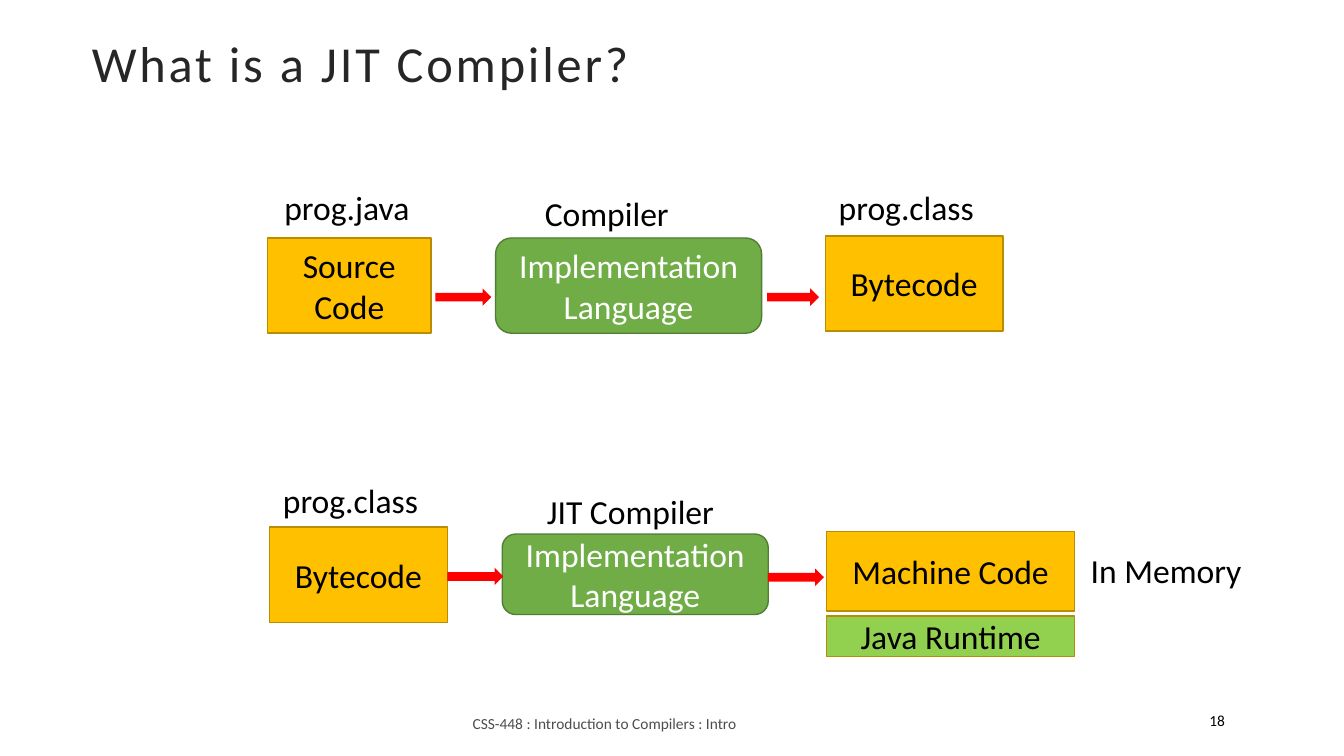
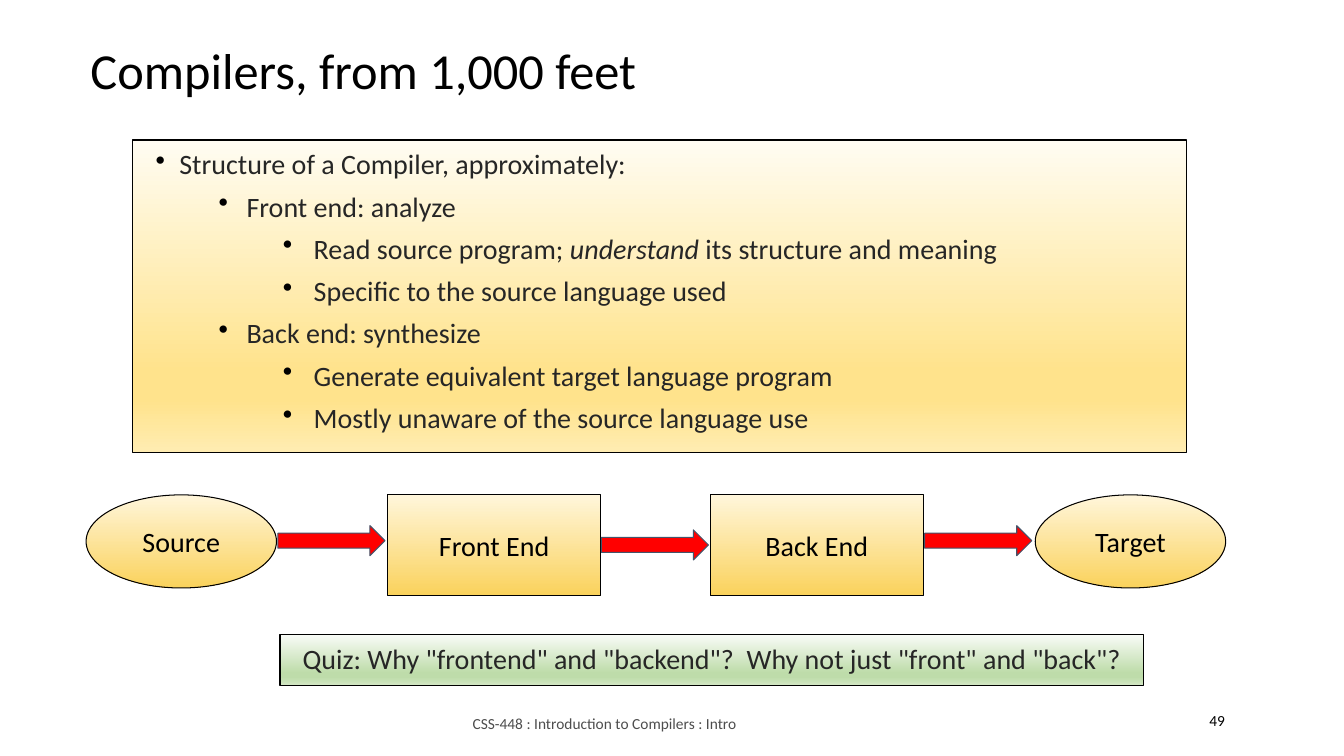
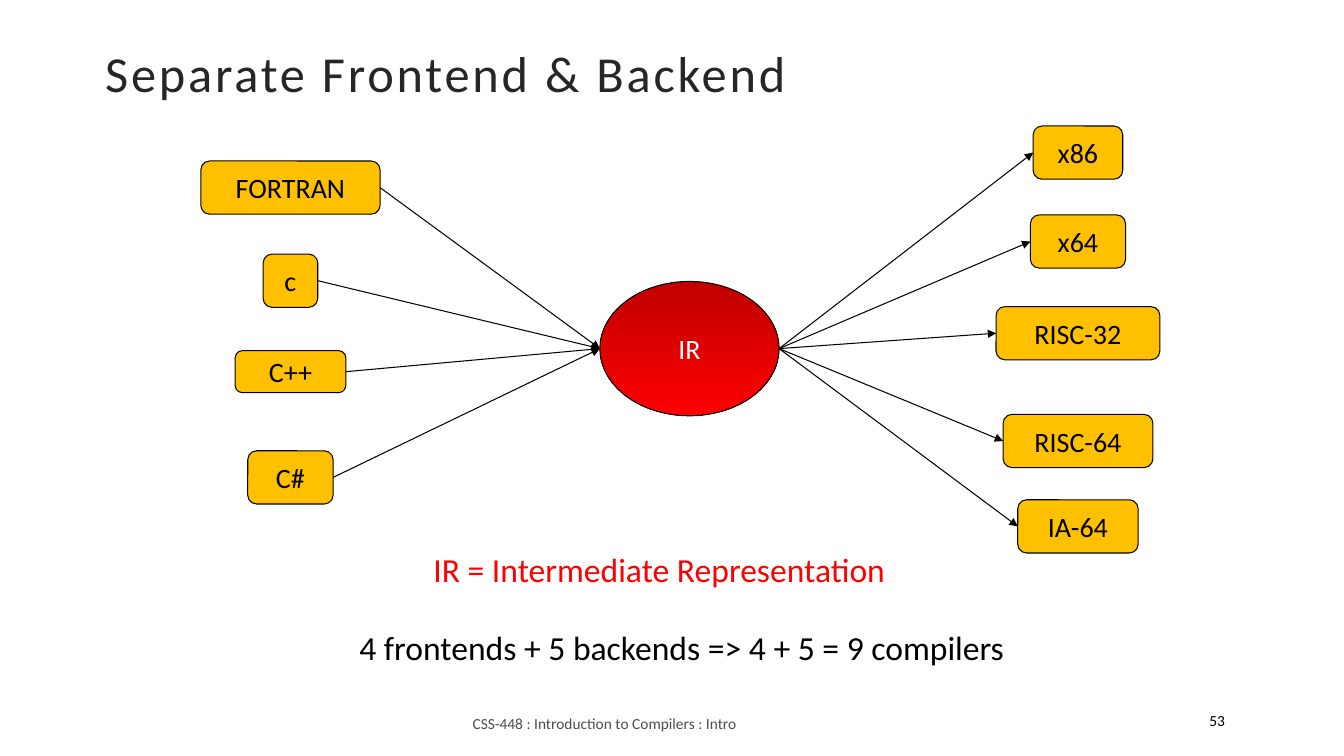
from lxml.etree import SubElement
from pptx import Presentation
from pptx.dml.color import RGBColor
from pptx.enum.shapes import MSO_CONNECTOR, MSO_SHAPE
from pptx.enum.text import MSO_ANCHOR, PP_ALIGN
from pptx.oxml.ns import qn
from pptx.util import Pt

FONT = "Calibri"
BLACK = RGBColor(0x00, 0x00, 0x00)
WHITE = RGBColor(0xFF, 0xFF, 0xFF)
INK = RGBColor(0x26, 0x26, 0x26)
FOOTER_GRAY = RGBColor(0x4D, 0x4D, 0x4D)
AMBER = RGBColor(0xFF, 0xC0, 0x00)
AMBER_EDGE = RGBColor(0xBA, 0x8C, 0x00)
GREEN = RGBColor(0x70, 0xAD, 0x47)
GREEN_EDGE = RGBColor(0x51, 0x7E, 0x33)
LIME = RGBColor(0x92, 0xD0, 0x50)
RED = RGBColor(0xFF, 0x00, 0x00)
SLATE = RGBColor(0x44, 0x54, 0x6A)
CREAM_FADE = [(0, "FFFCF2"), (74, "FFE38C"), (83, "FFE38C"), (100, "FFECB2")]
GREEN_FADE = [(0, "F8FBF6"), (74, "BEDCAA"), (83, "BEDCAA"), (100, "D4E8C6")]
GOLD_FADE = [(0, "FFF6DB"), (100, "FAD25C")]
RED_FADE = [(0, "C00000"), (100, "FF0000")]

RECT = MSO_SHAPE.RECTANGLE
ROUNDED = MSO_SHAPE.ROUNDED_RECTANGLE
OVAL = MSO_SHAPE.OVAL
ARROW = MSO_SHAPE.RIGHT_ARROW


def write(part, text, size, color=BLACK, align=PP_ALIGN.LEFT,
          anchor=MSO_ANCHOR.TOP, inset=(9.6, 4.8)):
    frame = part.text_frame
    frame.word_wrap = True
    frame.vertical_anchor = anchor
    frame.margin_left = frame.margin_right = Pt(inset[0])
    frame.margin_top = frame.margin_bottom = Pt(inset[1])
    for index, line in enumerate(text.split("\n")):
        paragraph = frame.add_paragraph() if index else frame.paragraphs[0]
        paragraph.alignment = align
        paragraph.font.name = FONT
        paragraph.font.size = Pt(size)
        paragraph.font.color.rgb = color
        for piece_index, piece in enumerate(line.split("_")):
            run = paragraph.add_run()
            run.text = piece
            if piece_index % 2:
                run.font.italic = True
    return frame.paragraphs


def draw(slide, kind, box, fill=None, edge=None, edge_width=0.75):
    part = slide.shapes.add_shape(kind, *map(Pt, box))
    part.shadow.inherit = False
    if isinstance(fill, list):
        part.fill.gradient()
        part.fill.gradient_angle = 270
        stops = part._element.spPr.find(qn("a:gradFill")).find(qn("a:gsLst"))
        stops.clear()
        for percent, shade in fill:
            stop = SubElement(stops, qn("a:gs"), pos=str(percent * 1000))
            SubElement(stop, qn("a:srgbClr"), val=shade)
    elif fill is None:
        part.fill.background()
    else:
        part.fill.solid()
        part.fill.fore_color.rgb = fill
    if edge is None:
        part.line.fill.background()
    else:
        part.line.color.rgb = edge
        part.line.width = Pt(edge_width)
    return part


deck = Presentation()
deck.slide_width = Pt(960)
deck.slide_height = Pt(540)

slides = []
for title, number, box, color, spaced in [
    ("What is a JIT Compiler?", "18", (56, 21, 772, 52.5), INK, True),
    ("Compilers, from 1,000 feet", "49", (55, 23, 816, 66), BLACK, False),
    ("Separate Frontend & Backend", "53", (65.5, 29, 762.5, 51), INK, True),
]:
    slide = deck.slides.add_slide(deck.slide_layouts[6])
    footer = slide.shapes.add_textbox(Pt(330.5), Pt(504), Pt(299), Pt(25))
    write(footer, "CSS-448 : Introduction to Compilers : Intro", 11, FOOTER_GRAY,
          anchor=MSO_ANCHOR.MIDDLE, inset=(7.2, 3.6))
    page_number = draw(slide, OVAL, (847.5, 500.5, 63.5, 29))
    write(page_number, number, 11, inset=(7.2, 3.6))
    heading = slide.shapes.add_textbox(*map(Pt, box))
    anchor = MSO_ANCHOR.MIDDLE if spaced else MSO_ANCHOR.TOP
    heading_line = write(heading, title, 36, color, anchor=anchor)[0]
    if spaced:
        heading_line.line_spacing = 0.9
        heading_line.font._element.set("spc", "200")
    slides.append(slide)

jit, structure, separate = slides

for kind, box, text, color, fill, edge in [
    (RECT, (191, 170, 117, 68), "Source Code", BLACK, AMBER, AMBER_EDGE),
    (ROUNDED, (354, 170, 190, 68), "Implementation Language", WHITE, GREEN, GREEN_EDGE),
    (RECT, (589.5, 168.5, 127, 68), "Bytecode", BLACK, AMBER, AMBER_EDGE),
    (RECT, (192.5, 376.5, 127, 68), "Bytecode", BLACK, AMBER, AMBER_EDGE),
    (ROUNDED, (358.75, 381.5, 190, 57.5), "Implementation Language", WHITE, GREEN, GREEN_EDGE),
    (RECT, (590.5, 379.5, 177, 57), "Machine Code", BLACK, AMBER, AMBER_EDGE),
    (RECT, (590.5, 440, 177, 29), "Java Runtime", BLACK, LIME, AMBER_EDGE),
]:
    stage = draw(jit, kind, box, fill, edge, 1)
    write(stage, text, 24, color, PP_ALIGN.CENTER, MSO_ANCHOR.MIDDLE)

for left, top, width in [(311, 206, 40), (548, 206, 37),
                         (319.5, 405.5, 40), (548.5, 406, 40)]:
    draw(jit, ARROW, (left, top, width, 12.5), RED)

for slide, text, box, top_inset, color in [
    (jit, "Compiler", (379.5, 133, 168, 29), 4.8, BLACK),
    (jit, "JIT Compiler", (381, 345.5, 168, 29), 4.8, BLACK),
    (jit, "prog.java", (193.5, 124, 115, 39), 9.6, BLACK),
    (jit, "prog.class", (589.5, 124, 127, 39), 9.6, BLACK),
    (jit, "prog.class", (192.5, 333.5, 127, 39), 9.6, BLACK),
    (jit, "In Memory", (769.5, 383.5, 149, 57), 9.6, BLACK),
    (separate, "IR = Intermediate Representation", (300, 387.5, 384.5, 29), 4.8, RED),
    (separate, "4 frontends + 5 backends => 4 + 5 = 9 compilers",
     (247, 443, 553, 29), 4.8, BLACK),
]:
    label = slide.shapes.add_textbox(*map(Pt, box))
    write(label, text, 24, color, inset=(9.6, top_inset))

outline = [
    (0, "Structure of a Compiler, approximately:"),
    (1, "Front end: analyze"),
    (2, "Read source program; _understand_ its structure and meaning"),
    (2, "Specific to the source language used"),
    (1, "Back end: synthesize"),
    (2, "Generate equivalent target language program"),
    (2, "Mostly unaware of the source language use"),
]
indents = [(24, -17), (72, -20), (120, -22)]
panel = draw(structure, RECT, (94.5, 100, 753, 223.5), CREAM_FADE, BLACK)
points = write(panel, "\n".join(text for level, text in outline), 20, INK)
for point, (level, text) in zip(points, outline):
    point.level = level
    if level:
        point.space_before = Pt(6.2)
    properties = point._p.get_or_add_pPr()
    margin, hanging = indents[level]
    properties.set("marL", str(Pt(margin)))
    properties.set("indent", str(Pt(hanging)))
    bullet_color = properties.makeelement(qn("a:buClr"), {})
    SubElement(bullet_color, qn("a:srgbClr"), val=str(BLACK))
    bullet = properties.makeelement(qn("a:buChar"), {"char": "•"})
    run_defaults = properties.find(qn("a:defRPr"))
    run_defaults.addprevious(bullet_color)
    run_defaults.addprevious(bullet)

for kind, text, box in [
    (OVAL, "Source", (61.5, 353.5, 136, 66.5)),
    (RECT, "Front End", (277, 353.5, 152, 72)),
    (RECT, "Back End", (507.5, 353.5, 152, 72)),
    (OVAL, "Target", (739.5, 353.5, 136, 66.5)),
]:
    phase = draw(structure, kind, box, GOLD_FADE, BLACK)
    write(phase, text, 20, BLACK, PP_ALIGN.CENTER, MSO_ANCHOR.MIDDLE)

for index, top in enumerate([375.5, 378.5, 375.5]):
    draw(structure, ARROW, (198.5 + 231 * index, top, 76.5, 21.5), RED, SLATE)

quiz = draw(structure, RECT, (200, 453.5, 616.5, 36.5), GREEN_FADE, BLACK)
question = write(quiz, 'Quiz: Why "frontend" and "backend"?  Why not just "front" and "back"?',
                 20, INK)[0]
question._p.get_or_add_pPr().set("marL", str(Pt(6.5)))

ir_left, ir_top, ir_width, ir_height = 428.5, 201, 128, 96
ir_middle = ir_top + ir_height / 2
ir = draw(separate, OVAL, (ir_left, ir_top, ir_width, ir_height), RED_FADE, BLACK)
write(ir, "IR", 20, WHITE, PP_ALIGN.CENTER, MSO_ANCHOR.MIDDLE)

frontends = [("FORTRAN", 115, 128, 38), ("c", 181.5, 39, 38),
             ("C++", 250.5, 79, 30), ("C#", 322, 61, 38)]
backends = [("x86", 90, 64, 38), ("x64", 153.5, 68, 38), ("RISC-32", 219, 117, 38),
            ("RISC-64", 296, 107, 38), ("IA-64", 357, 86, 38)]
for ends, center, ir_side in [(frontends, 207.5, ir_left),
                              (backends, 770, ir_left + ir_width)]:
    for text, top, width, height in ends:
        end = draw(separate, ROUNDED, (center - width / 2, top, width, height), AMBER, BLACK)
        write(end, text, 20, BLACK, PP_ALIGN.CENTER, MSO_ANCHOR.MIDDLE)
        link = separate.shapes.add_connector(
            MSO_CONNECTOR.STRAIGHT, Pt(ir_side), Pt(ir_middle), Pt(ir_side), Pt(ir_middle))
        if ends is frontends:
            link.begin_connect(end, 3)
        else:
            link.end_connect(end, 1)
        link.line.color.rgb = BLACK
        link.line.width = Pt(0.75)
        SubElement(link.line._get_or_add_ln(), qn("a:tailEnd"), type="triangle")
        SubElement(link._element.spPr, qn("a:effectLst"))

deck.save("out.pptx")
